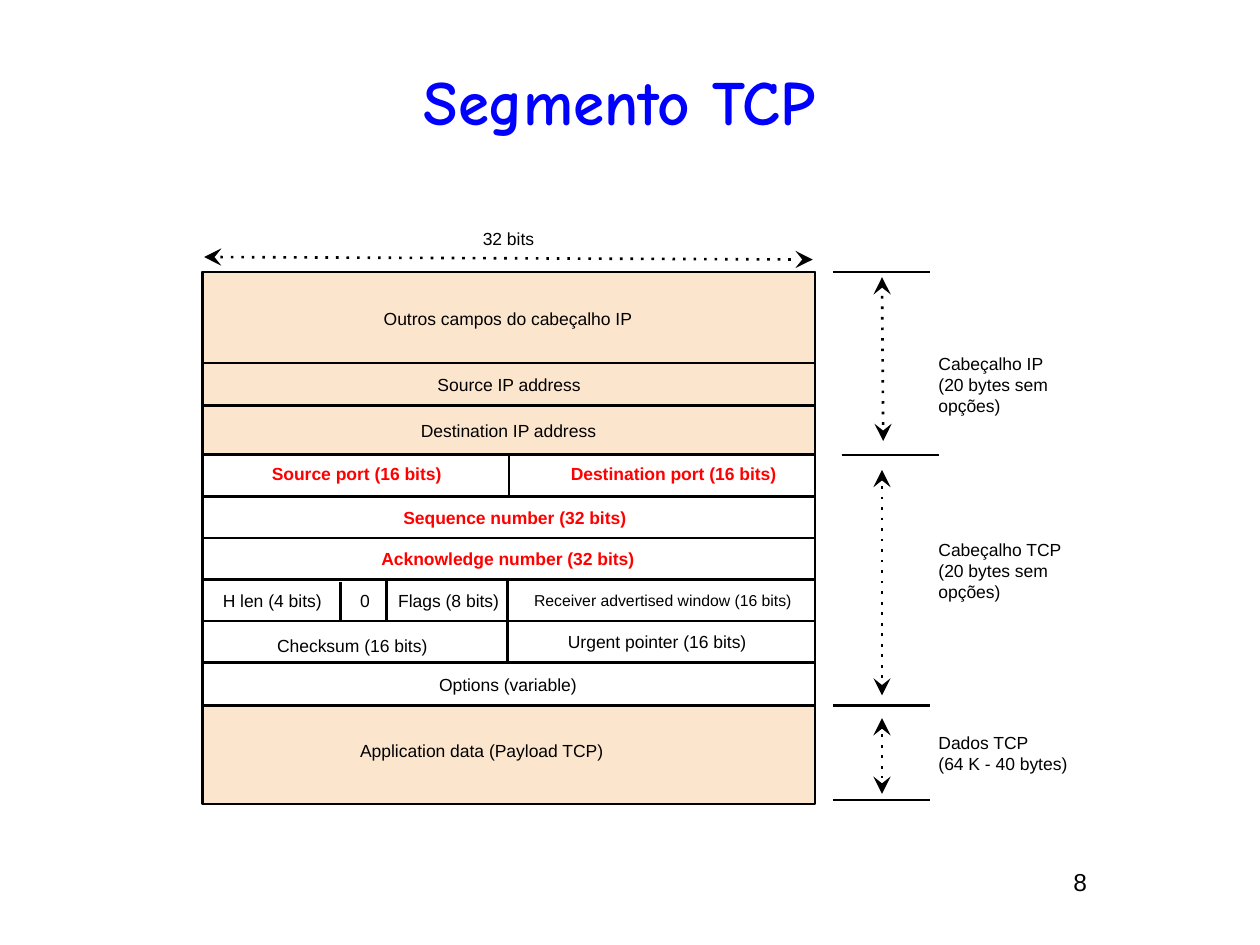
from lxml.etree import SubElement
from pptx import Presentation
from pptx.dml.color import RGBColor
from pptx.enum.shapes import MSO_CONNECTOR as CONN, MSO_SHAPE as SHAPE
from pptx.enum.text import MSO_ANCHOR as ANCHOR, PP_ALIGN as ALIGN
from pptx.oxml.ns import qn
from pptx.util import Inches, Pt

BLACK = RGBColor(0x00, 0x00, 0x00)
RED = RGBColor(0xFF, 0x00, 0x00)
BLUE = RGBColor(0x00, 0x00, 0xFF)
PEACH = RGBColor(0xFC, 0xE5, 0xCD)

LEFT, WIDTH = 1.61, 4.86
TOP, TCP_TOP, DATA_TOP, BOTTOM = 2.16, 3.61, 5.6, 6.38
ROW = 0.33
KEY = {"bold": True, "color": RED}


class SegmentSlide:
    """Holds the slide and its style, and draws each kind of element."""

    def __init__(self, prs):
        self.s = prs.slides.add_slide(prs.slide_layouts[5])
        self.base = {"name": "Arial", "size": Pt(10), "bold": False, "color": BLACK}

    def format(self, p, align, **changes):
        p.alignment = align
        for key, value in {**self.base, **changes}.items():
            if key == "color":
                p.font.color.rgb = value
            else:
                setattr(p.font, key, value)

    def frame(self, tf, anchor, inset_y):
        values = {
            "word_wrap": True,
            "vertical_anchor": anchor,
            "margin_left": Inches(0.1),
            "margin_right": Inches(0.1),
            "margin_top": Inches(inset_y),
            "margin_bottom": Inches(inset_y),
        }
        for key, value in values.items():
            setattr(tf, key, value)

    def title(self, text, box):
        sp = self.s.shapes.title
        sp.left, sp.top, sp.width, sp.height = map(Inches, box)
        self.frame(sp.text_frame, ANCHOR.MIDDLE, 0.05)
        sp.text_frame.text = text
        self.format(sp.text_frame.paragraphs[0], ALIGN.CENTER,
                    name="Comic Neue", size=Pt(36), bold=True, color=BLUE)

    def text(self, text, box, align=ALIGN.CENTER, anchor=ANCHOR.MIDDLE, inset_y=0.1, **changes):
        tf = self.s.shapes.add_textbox(*map(Inches, box)).text_frame
        self.frame(tf, anchor, inset_y)
        tf.text = text
        for p in tf.paragraphs:
            self.format(p, align, **changes)

    def rect(self, top, bottom, fill=None):
        sp = self.s.shapes.add_shape(
            SHAPE.RECTANGLE, *map(Inches, (LEFT, top, WIDTH, bottom - top)))
        sp.shadow.inherit = False
        if fill is None:
            sp.fill.background()
        else:
            sp.fill.solid()
            sp.fill.fore_color.rgb = fill
        sp.line.color.rgb = BLACK
        sp.line.width = Pt(1.5)

    def line(self, x1, y1, x2, y2):
        cxn = self.s.shapes.add_connector(CONN.STRAIGHT, *map(Inches, (x1, y1, x2, y2)))
        cxn.line.color.rgb = BLACK
        cxn.line.width = Pt(1.5)
        SubElement(cxn._element.spPr, qn("a:effectLst"))
        return cxn

    def arrow(self, *ends):
        ln = self.line(*ends).line._get_or_add_ln()
        SubElement(ln, qn("a:prstDash"), val="dot")
        for end in ("a:headEnd", "a:tailEnd"):
            SubElement(ln, qn(end), type="stealth", w="lg", len="lg")


def main():
    prs = Presentation()
    prs.slide_width, prs.slide_height = Inches(10), Inches(7.5)
    slide = SegmentSlide(prs)

    slide.title("Segmento TCP", (0.33, 0.42, 9.17, 0.75))
    slide.text("8", (8.42, 6.83, 1, 0.42), ALIGN.LEFT, ANCHOR.TOP, 0.05, size=Pt(14))

    slide.rect(TOP, DATA_TOP)
    slide.rect(TOP, TCP_TOP, PEACH)
    slide.rect(DATA_TOP, BOTTOM, PEACH)

    for y in [2.88, 3.22] + [TCP_TOP + ROW * i for i in range(6)]:
        slide.line(LEFT, y, LEFT + WIDTH + 0.01, y)
    for x, y1, y2 in [(4.04, 3.62, 3.93), (4.03, 4.61, 5.27),
                      (3.07, 4.61, 4.92), (2.7, 4.62, 4.93)]:
        slide.line(x, y1, x, y2)

    for x, y in [(6.61, TOP), (6.68, TCP_TOP), (6.61, DATA_TOP), (6.61, 6.35)]:
        slide.line(x, y, x + 0.77, y)
    for ends in [(1.62, 2.04, 6.45, 2.06), (7.01, 3.5, 7, 2.2),
                 (7, 3.73, 7, 5.52), (7, 5.7, 7, 6.3)]:
        slide.arrow(*ends)

    fields = [
        ("32 bits", (3.59, 1.73, 0.89, ROW), {}),
        ("Outros campos do cabeçalho IP", (2.51, 2.27, 3.04, 0.51), {}),
        ("Source IP address", (2.52, 2.89, 3.04, ROW), {}),
        ("Destination IP address", (2.91, 3.25, 2.25, ROW), {}),
        ("Source port (16 bits)", (2.04, 3.6, 1.58, 0.31), KEY),
        ("Destination port (16 bits)", (4.41, 3.6, 1.87, 0.31), KEY),
        ("Sequence number (32 bits)", (3.07, 3.94, 2.03, ROW), KEY),
        ("Acknowledge number (32 bits)", (2.86, 4.27, 2.34, ROW), KEY),
        ("H len (4 bits)", (1.62, 4.64, 1.08, 0.26), {}),
        ("0", (2.76, 4.64, 0.26, 0.26), {}),
        ("Flags (8 bits)", (3.02, 4.61, 1.08, 0.31), {}),
        ("Receiver advertised window (16 bits)", (4.02, 4.61, 2.48, 0.31), {"size": Pt(9)}),
        ("Checksum (16 bits)", (1.97, 4.96, 1.65, ROW), {}),
        ("Urgent pointer (16 bits)", (4.36, 4.93, 1.71, ROW), {}),
        ("Options (variable)", (3.24, 5.27, 1.58, ROW), {}),
        ("Application data (Payload TCP)", (2.76, 5.79, 2.34, ROW), {"align": ALIGN.LEFT}),
    ]
    for text, box, changes in fields:
        slide.text(text, box, **changes)

    for text, y, width in [
        ("Cabeçalho IP\n(20 bytes sem\nopções)", 2.8, 1.53),
        ("Cabeçalho TCP\n(20 bytes sem\nopções)", 4.27, 1.53),
        ("Dados TCP\n(64 K - 40 bytes)", 5.72, 1.37),
    ]:
        slide.text(text, (7.35, y, width, 0.51), ALIGN.LEFT)

    prs.save("out.pptx")


if __name__ == "__main__":
    main()
